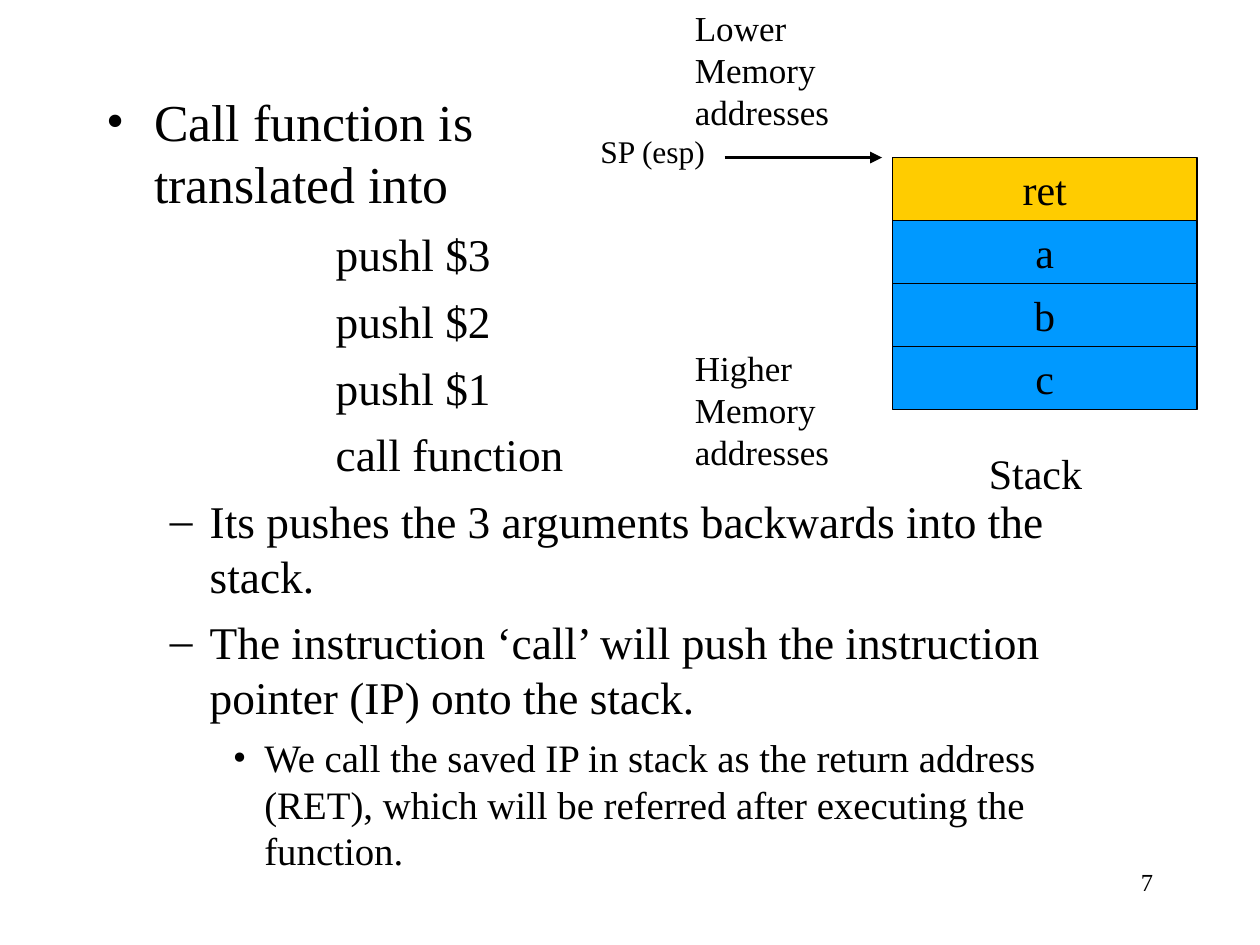
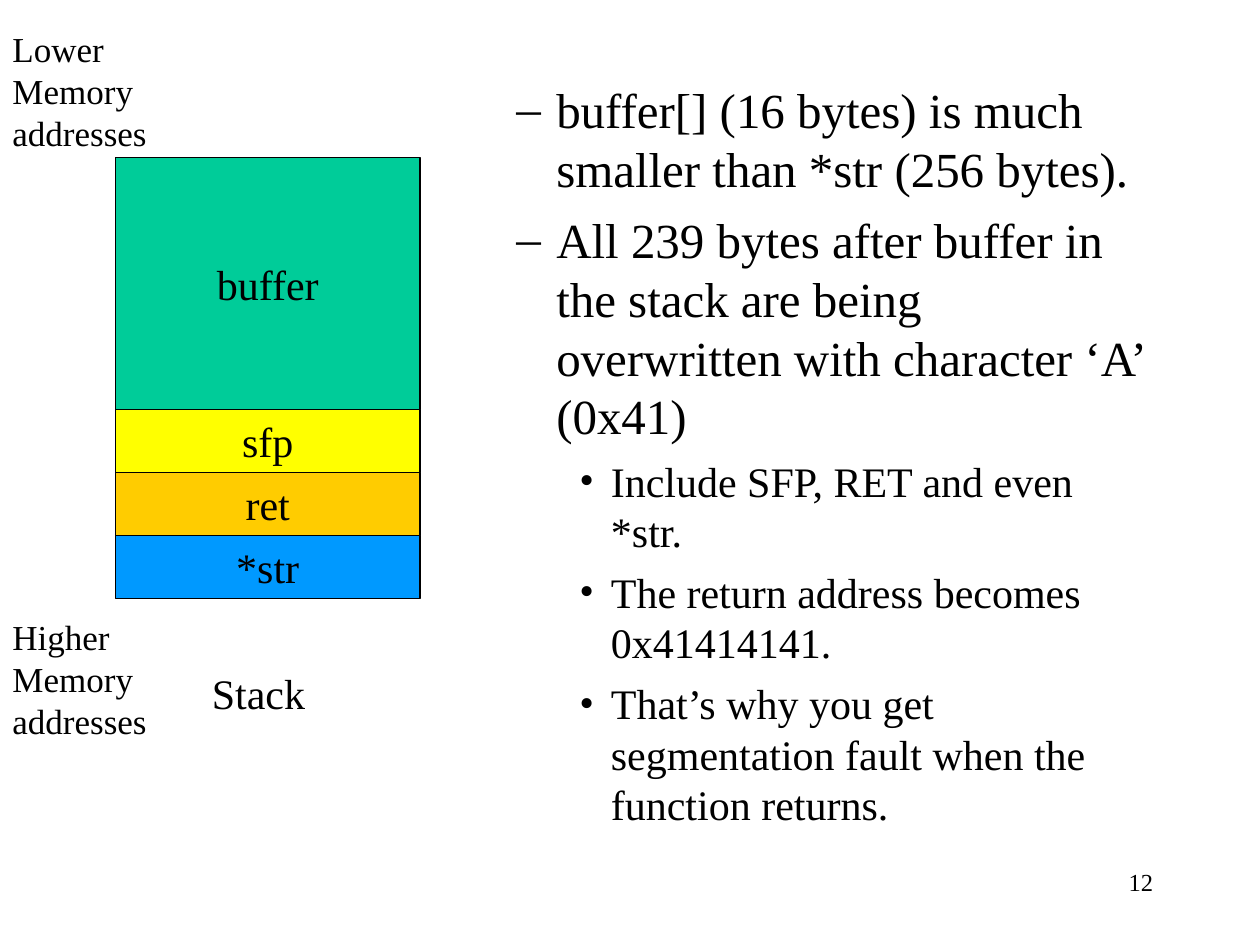
from lxml import etree
from pptx import Presentation, util as u
from pptx.dml.color import RGBColor
from pptx.enum import shapes, text
from pptx.oxml.ns import qn

PX = 7620  # 120 px to the inch
FONT = "Times New Roman"
BLACK, BLUE, ORANGE = "000000", "0099FF", "FFCC00"
YELLOW, GREEN = "FFFF00", "00CC99"
CELL_WIDTH, CELL_HEIGHT, STACK_TOP = 290, 60, 150

# Outline styles: left margin, first-line indent, space before, bullet
STYLES = {
    "plain": (0, 0, 0, None),
    "point": (45, -45, 8, "•"),
    "code": (218, 0, 7, None),
    "dash": (98, -38, 7, "–"),
    "dot": (150, -30, 6, "•"),
}


def color(value):
    return RGBColor.from_string(value)


def write(shape, lines, align=text.PP_ALIGN.LEFT, **frame_format):
    """Fill a shape with (style, size, words) lines."""
    frame = shape.text_frame
    for name, value in frame_format.items():
        setattr(frame, name, value)
    for number, (style, size, words) in enumerate(lines):
        paragraph = frame.add_paragraph() if number else frame.paragraphs[0]
        paragraph.text = words
        margin, indent, before, bullet = STYLES[style]
        paragraph_format = {"alignment": align, "space_before": u.Pt(before),
                            "line_spacing": u.Pt(round(size * 1.2, 1))}
        for name, value in paragraph_format.items():
            setattr(paragraph, name, value)
        properties = paragraph._p.get_or_add_pPr()
        properties.set("marL", str(margin * PX))
        properties.set("indent", str(indent * PX))
        if bullet:
            etree.SubElement(properties, qn("a:buFont")).set("typeface", FONT)
            etree.SubElement(properties, qn("a:buChar")).set("char", bullet)
        for run in paragraph.runs:
            run.font.name, run.font.size = FONT, u.Pt(size)
            run.font.color.rgb = color(BLACK)


slides = [
    {
        "number": "7",
        "body": (90, 80, 1020, 720),
        "outline": [
            ("point", 29.6, "Call function is\ntranslated into"),
            ("code", 25.9, "pushl $3"),
            ("code", 25.9, "pushl $2"),
            ("code", 25.9, "pushl $1"),
            ("code", 25.9, "call function"),
            ("dash", 25.9, "Its pushes the 3 arguments backwards into the stack."),
            ("dash", 25.9, "The instruction ‘call’ will push the instruction "
                           "pointer (IP) onto the stack."),
            ("dot", 22.2, "We call the saved IP in stack as the return address "
                          "(RET), which will be referred after executing the function."),
        ],
        "stack_left": 850,
        "cells": [("ret", 1, ORANGE), ("a", 1, BLUE), ("b", 1, BLUE), ("c", 1, BLUE)],
        "labels": [
            (930, 420, 120, 60, 24, ["Stack"]),
            (650, 0, 160, 132, 20, ["Lower", "Memory", "addresses"]),
            (650, 324, 160, 132, 20, ["Higher", "Memory", "addresses"]),
            (560, 120, 130, 48, 18, ["SP (esp)"]),
        ],
        "pointer": (690, 840),
    },
    {
        "number": "12",
        "body": (420, 70, 690, 730),
        "outline": [
            ("dash", 28, "buffer[] (16 bytes) is much smaller than *str (256 bytes)."),
            ("dash", 28, "All 239 bytes after buffer in the stack are being "
                         "overwritten with character ‘A’ (0x41)"),
            ("dot", 24, "Include SFP, RET and even *str."),
            ("dot", 24, "The return address becomes 0x41414141."),
            ("dot", 24, "That’s why you get segmentation fault when the "
                        "function returns."),
        ],
        "stack_left": 110,
        "cells": [("buffer", 4, GREEN), ("sfp", 1, YELLOW),
                  ("ret", 1, ORANGE), ("*str", 1, BLUE)],
        "labels": [
            (190, 630, 120, 60, 24, ["Stack"]),
            (0, 20, 160, 132, 20, ["Lower", "Memory", "addresses"]),
            (0, 580, 160, 132, 20, ["Higher", "Memory", "addresses"]),
        ],
        "pointer": None,
    },
]

presentation = Presentation()
presentation.slide_width, presentation.slide_height = 1200 * PX, 900 * PX

for content in slides:
    slide = presentation.slides.add_slide(presentation.slide_layouts[6])

    # Slide number
    box = slide.shapes.add_textbox(860 * PX, 820 * PX, 250 * PX, 60 * PX)
    write(box, [("plain", 14, content["number"])], text.PP_ALIGN.RIGHT, word_wrap=True)

    # Outline text
    box = slide.shapes.add_textbox(*(length * PX for length in content["body"]))
    write(box, content["outline"], word_wrap=True)

    # Stack cells, from lower to higher addresses
    top = STACK_TOP
    for name, units, fill in content["cells"]:
        height = units * CELL_HEIGHT
        cell = slide.shapes.add_shape(
            shapes.MSO_SHAPE.RECTANGLE, content["stack_left"] * PX, top * PX,
            CELL_WIDTH * PX, height * PX)
        cell.shadow.inherit = False
        cell.fill.solid()
        cell.fill.fore_color.rgb = color(fill)
        cell.line.color.rgb = color(BLACK)
        cell.line.width = u.Pt(0.75)
        write(cell, [("plain", 24, name)], text.PP_ALIGN.CENTER,
              word_wrap=False, vertical_anchor=text.MSO_ANCHOR.MIDDLE)
        top += height

    # Labels around the stack
    for left, top, width, height, size, lines in content["labels"]:
        box = slide.shapes.add_textbox(left * PX, top * PX, width * PX, height * PX)
        write(box, [("plain", size, line) for line in lines], word_wrap=True)

    # Stack pointer arrow
    if content["pointer"]:
        start, end = content["pointer"]
        arrow = slide.shapes.add_connector(
            shapes.MSO_CONNECTOR.STRAIGHT, start * PX, STACK_TOP * PX,
            end * PX, STACK_TOP * PX)
        arrow.line.color.rgb = color(BLACK)
        arrow.line.width = u.Pt(2.25)
        etree.SubElement(arrow.line._get_or_add_ln(), qn("a:tailEnd")).set("type", "triangle")
        etree.SubElement(arrow._element.spPr, qn("a:effectLst"))

presentation.save("out.pptx")
